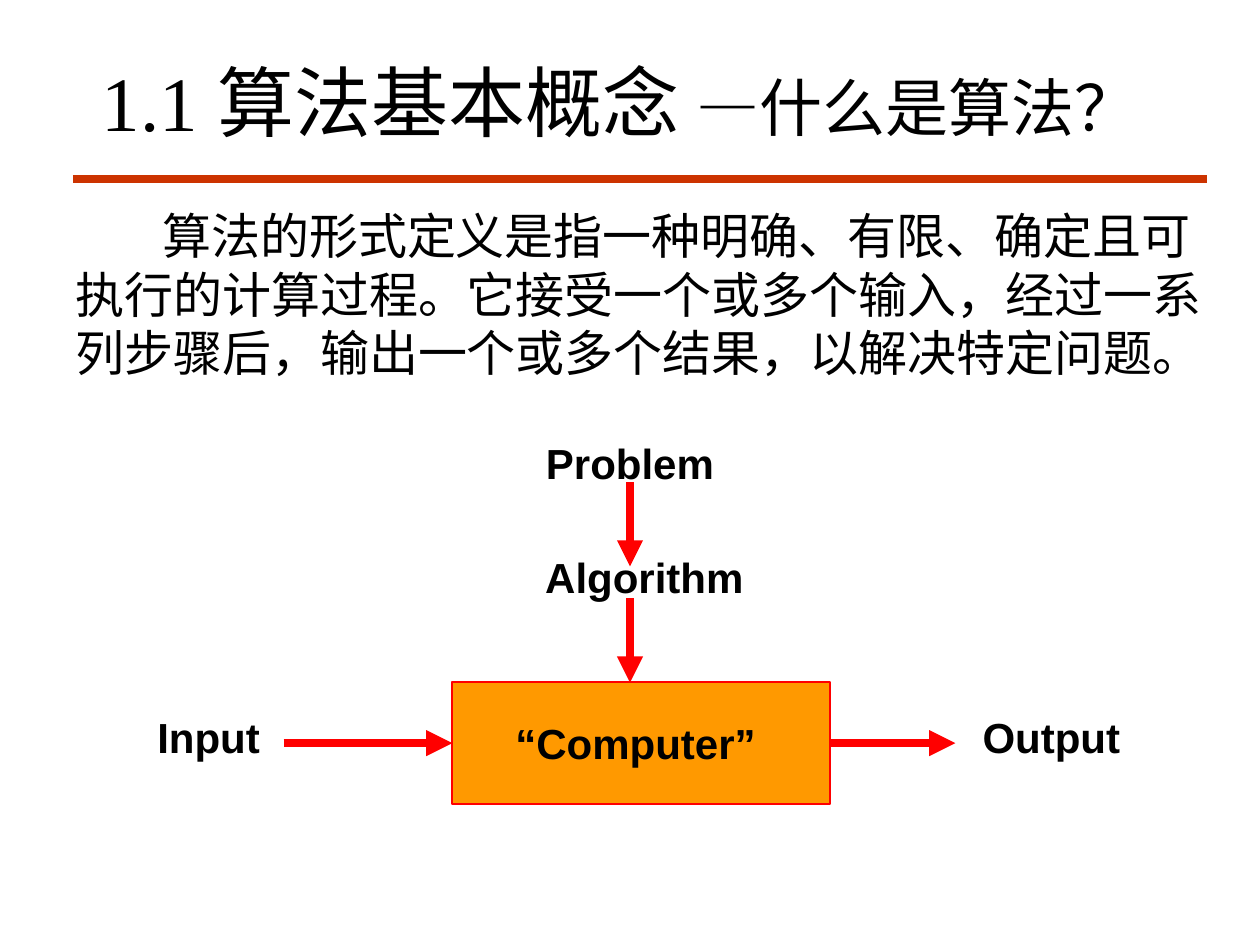
from pptx import Presentation
from pptx.dml.color import RGBColor
from pptx.enum.shapes import MSO_CONNECTOR as CONN, MSO_SHAPE as SHAPE
from pptx.enum.text import MSO_ANCHOR as ANCHOR, MSO_AUTO_SIZE as AUTO, PP_ALIGN as ALIGN
from pptx.oxml.ns import qn
from pptx.util import Cm, Pt
from lxml.etree import SubElement

BLACK, RED, ORANGE, RUST = "000000", "FF0000", "FF9900", "CC3300"
SERIF, SANS = "Times New Roman", "Arial"


def color(hex_text):
    return RGBColor.from_string(hex_text)


def style(r, size, name, bold=False):
    r.font.size, r.font.name, r.font.bold = Pt(size), name, bold
    r.font.color.rgb = color(BLACK)


def place(sp, x, y, w, h):
    sp.left, sp.top, sp.width, sp.height = Cm(x), Cm(y), Cm(w), Cm(h)


def add_line(slide, x1, y1, x2, y2, hex_text, width, arrow=False):
    line = slide.shapes.add_connector(CONN.STRAIGHT, Cm(x1), Cm(y1), Cm(x2), Cm(y2))
    line.line.color.rgb = color(hex_text)
    line.line.width = Pt(width)
    if arrow:
        SubElement(line.line._get_or_add_ln(), qn("a:tailEnd"), type="triangle")
    SubElement(line._element.spPr, qn("a:effectLst"))
    return line


def set_label(sp, text, wrap=True):
    tf = sp.text_frame
    tf.text = text
    tf.word_wrap = wrap
    p = tf.paragraphs[0]
    p.alignment = ALIGN.CENTER
    style(p.runs[0], 24, SANS, bold=True)


def add_title(slide, x, y, w, h):
    sp = slide.shapes.title
    place(sp, x, y, w, h)
    tf = sp.text_frame
    tf.auto_size = AUTO.NONE
    tf.vertical_anchor = ANCHOR.MIDDLE
    p = tf.paragraphs[0]
    p.alignment = ALIGN.CENTER
    for text, size, name in (("1.1 算法基本概念 ", 44, SERIF),
                             ("—", 36, SANS), ("什么是算法？", 36, SERIF)):
        r = p.add_run()
        r.text = text
        style(r, size, name)
    # Rule under the title
    add_line(slide, x - 0.23, y + h, x + w + 1.04, y + h, RUST, 4.5)


def add_definition(slide, x, y, w, h):
    sp = slide.placeholders[1]
    place(sp, x, y, w, h)
    tf = sp.text_frame
    tf.auto_size = AUTO.NONE
    tf.text = ("算法的形式定义是指一种明确、有限、确定且可执行的计算过程。"
               "它接受一个或多个输入，经过一系列步骤后，输出一个或多个结果，以解决特定问题。")
    p = tf.paragraphs[0]
    p.space_before = Pt(0)
    # Plain paragraph with an indented first line
    pPr = p._p.get_or_add_pPr()
    pPr.set("marL", "0")
    pPr.set("indent", str(Cm(1.75)))
    SubElement(pPr, qn("a:buNone"))
    style(p.runs[0], 28, SERIF)


def add_diagram(slide, x, y, w, h):
    box_w, box_h, label_h = 7.62, 2.46, 1.3
    box_x, box_y = x + 6.58, y + h - box_h
    axis = x + w / 2
    mid = box_y + box_h / 2

    # Computer box
    box = slide.shapes.add_shape(SHAPE.RECTANGLE, Cm(box_x), Cm(box_y), Cm(box_w), Cm(box_h))
    box.shadow.inherit = False
    box.fill.solid()
    box.fill.fore_color.rgb = color(ORANGE)
    box.line.color.rgb = color(RED)
    box.line.width = Pt(1)
    box.text_frame.vertical_anchor = ANCHOR.MIDDLE
    set_label(box, "“Computer” ", wrap=False)

    # Labels: text, centre, top, width
    side_w = 3.33
    side_y = y + 5.53
    for text, center, top, width in (("Problem", axis, y, 4.27),
                                     ("Algorithm", axis + 0.29, y + 2.31, 4.55),
                                     ("Input", x + side_w / 2, side_y, side_w),
                                     ("Output", x + w - side_w / 2, side_y, side_w)):
        label = slide.shapes.add_textbox(Cm(center - width / 2), Cm(top), Cm(width), Cm(label_h))
        set_label(label, text)

    # Arrows down to the box
    for top in (box_y - 4.03, box_y - 1.69):
        add_line(slide, axis, top, axis, top + 1.7, RED, 5, arrow=True)

    # Arrows into and out of the box
    arrow_in = add_line(slide, x + 3.18, mid, box_x, mid, RED, 5, arrow=True)
    arrow_in.end_connect(box, 1)
    arrow_out = add_line(slide, box_x + box_w, mid, x + 16.72, mid, RED, 5, arrow=True)
    arrow_out.begin_connect(box, 3)


def main():
    prs = Presentation()
    prs.slide_width, prs.slide_height = Cm(25.4), Cm(19.05)
    slide = prs.slides.add_slide(prs.slide_layouts[1])
    add_title(slide, 1.7, 0.43, 21.59, 3.18)
    add_definition(slide, 1.27, 4.01, 23.5, 14.4)
    add_diagram(slide, 2.54, 8.69, 20.32, 7.52)
    prs.save("out.pptx")


if __name__ == "__main__":
    main()
